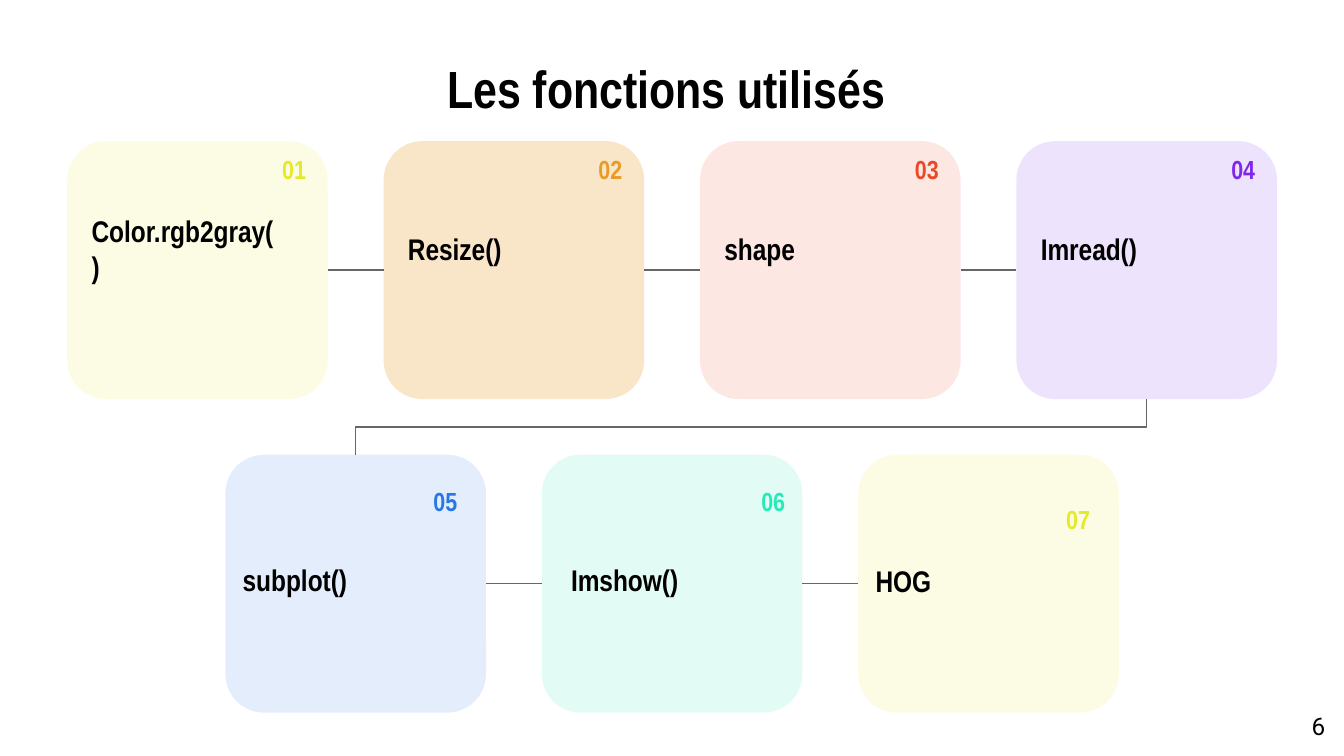
import itertools
from dataclasses import dataclass

import lxml.etree
import pptx
import pptx.dml.color
import pptx.enum.shapes
import pptx.enum.text
import pptx.oxml.ns
import pptx.util

Pt = pptx.util.Pt
qn = pptx.oxml.ns.qn
Align = pptx.enum.text.PP_ALIGN
Anchor = pptx.enum.text.MSO_ANCHOR
ConnectorType = pptx.enum.shapes.MSO_CONNECTOR

CARD_WIDTH, CARD_HEIGHT = 139.6, 138.2
CARD_PITCH = 169.5
FIRST_LEFT = 36
ROW_TOPS = (75.6, 243.6)
TOP, LEFT, BOTTOM, RIGHT = range(4)


@dataclass
class Card:
    name: str
    color: str
    row: int
    column: float
    opacity: int = 13
    name_offset: tuple[float, float] = (6, 33.8)
    number_offset: tuple[float, float] = (105.5, 0)


CARDS = [
    Card("Color.rgb2gray()", "E4EA27", 0, 0),
    Card("Resize()", "E99B27", 0, 1, opacity=25),
    Card("shape", "EA4827", 0, 2),
    Card("Imread()", "8027EA", 0, 3),
    Card("subplot()", "2776EA", 1, 0.5, name_offset=(2.2, 43.2), number_offset=(101.8, 10)),
    Card("Imshow()", "26EAB8", 1, 1.5, name_offset=(8.6, 43.2), number_offset=(108, 10)),
    Card("HOG", "E4EA27", 1, 2.5, name_offset=(2.2, 43.7), number_offset=(101.8, 19.6)),
]


def rgb(color: str) -> pptx.dml.color.RGBColor:
    return pptx.dml.color.RGBColor.from_string(color)


def write(shape, text: str, size: float, color: str, align=Align.LEFT,
          anchor=Anchor.MIDDLE, font: str = "Arial Narrow", bold: bool = True) -> None:
    frame = shape.text_frame
    frame.word_wrap = True
    frame.auto_size = pptx.enum.text.MSO_AUTO_SIZE.NONE
    frame.vertical_anchor = anchor
    frame.margin_left = frame.margin_right = Pt(7.2)
    frame.margin_top = frame.margin_bottom = Pt(7.2)
    paragraph = frame.paragraphs[0]
    paragraph.alignment = align
    run = paragraph.add_run()
    run.text = text
    run.font.name = font
    run.font.size = Pt(size)
    run.font.bold = bold
    run.font.color.rgb = rgb(color)


def add_text(slide, left: float, top: float, width: float, height: float,
             text: str, size: float, color: str, **style) -> None:
    box = slide.shapes.add_textbox(Pt(left), Pt(top), Pt(width), Pt(height))
    write(box, text, size, color, **style)


def add_card(slide, card: Card, number: int):
    left = FIRST_LEFT + card.column * CARD_PITCH
    top = ROW_TOPS[card.row]
    shape = slide.shapes.add_shape(
        pptx.enum.shapes.MSO_SHAPE.ROUNDED_RECTANGLE,
        Pt(left), Pt(top), Pt(CARD_WIDTH), Pt(CARD_HEIGHT))
    shape.adjustments[0] = 0.15
    shape.shadow.inherit = False
    shape.line.fill.background()
    shape.fill.solid()
    shape.fill.fore_color.rgb = rgb(card.color)
    color_element = shape._element.spPr.find(qn("a:solidFill"))[0]
    alpha = lxml.etree.SubElement(color_element, qn("a:alpha"))
    alpha.set("val", str(card.opacity * 1000))

    name_x, name_y = card.name_offset
    add_text(slide, left + name_x, top + name_y, 115.2, 47.5, card.name, 16, "000000")
    number_x, number_y = card.number_offset
    add_text(slide, left + number_x, top + number_y, 29.5, 29.5,
             f"{number:02}", 14, card.color, align=Align.RIGHT)
    return shape


def join(slide, start, start_side: int, end, end_side: int, kind):
    connector = slide.shapes.add_connector(kind, 0, 0, 0, 0)
    connector.begin_connect(start, start_side)
    connector.end_connect(end, end_side)
    connector.line.color.rgb = rgb("666666")
    connector.line.width = Pt(0.75)
    lxml.etree.SubElement(connector._element.spPr, qn("a:effectLst"))
    return connector


def turn_down(connector) -> None:
    """Rotate an elbow that runs down and left so that it leaves vertically."""
    left, top = connector.left, connector.top
    across, down = connector.width, connector.height
    connector.left = left + (across - down) // 2
    connector.top = top + (down - across) // 2
    connector.width, connector.height = down, across
    transform = connector._element.spPr.find(qn("a:xfrm"))
    transform.attrib.pop("flipH", None)
    transform.set("rot", str(90 * 60000))


def main() -> None:
    presentation = pptx.Presentation()
    presentation.slide_width = Pt(720)
    presentation.slide_height = Pt(405)
    slide = presentation.slides.add_slide(presentation.slide_layouts[5])

    title = slide.shapes.title
    title.left, title.top = Pt(36), Pt(32.4)
    title.width, title.height = Pt(648), Pt(29.5)
    write(title, "Les fonctions utilisés ", 28, "000000", align=Align.CENTER)

    shapes = [add_card(slide, card, number) for number, card in enumerate(CARDS, 1)]
    for (card, shape), (next_card, next_shape) in itertools.pairwise(zip(CARDS, shapes)):
        if card.row == next_card.row:
            join(slide, shape, RIGHT, next_shape, LEFT, ConnectorType.STRAIGHT)
        else:
            turn_down(join(slide, shape, BOTTOM, next_shape, TOP, ConnectorType.ELBOW))

    add_text(slide, 673.9, 373.7, 43.2, 31, "6", 13, "000000", align=Align.RIGHT,
             anchor=Anchor.TOP, font="Roboto", bold=False)
    presentation.save("out.pptx")


if __name__ == "__main__":
    main()
